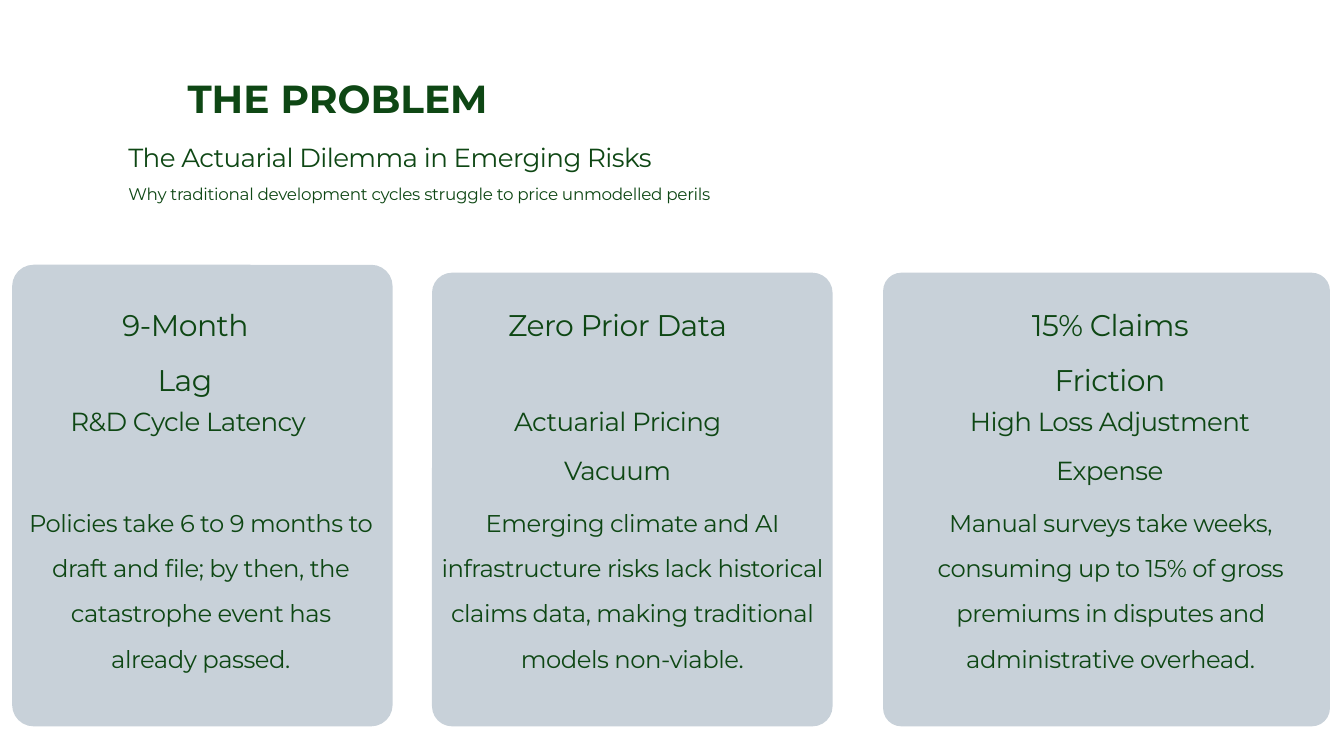
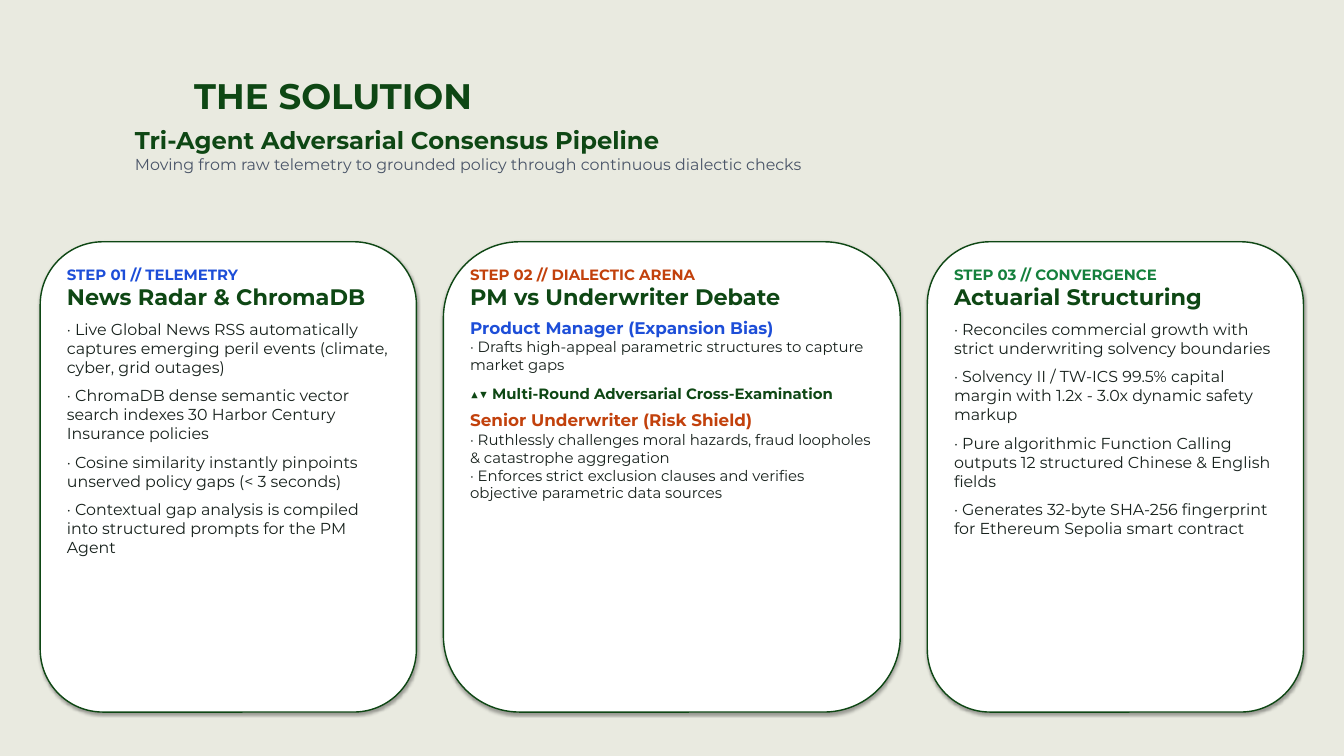
from pptx import Presentation
from pptx.dml.color import RGBColor
from pptx.enum.shapes import MSO_SHAPE
from pptx.enum.text import MSO_ANCHOR, MSO_AUTO_SIZE, PP_ALIGN
from pptx.util import Cm, Pt

FONT = "Montserrat"
GREEN, INK, GREY = "0E4714", "17211C", "4A5568"
BLUE, ORANGE, EMERALD = "1D4ED8", "C2410C", "15803D"
WHITE, SAGE, STEEL = "FFFFFF", "E9EAE0", "C8D1D9"
INSET = 0.25
LEFT, CENTER = PP_ALIGN.LEFT, PP_ALIGN.CENTER


def rgb(value):
    return RGBColor.from_string(value)


def write(sp, box, lines, inset=0, align=LEFT):
    """Place sp and fill it; a line is (text, size, colour, bold, before, leading, tracking)."""
    sp.left, sp.top, sp.width, sp.height = [Cm(v) for v in box]
    tf = sp.text_frame
    tf.word_wrap = True
    tf.auto_size = MSO_AUTO_SIZE.SHAPE_TO_FIT_TEXT
    tf.vertical_anchor = MSO_ANCHOR.TOP
    tf.margin_left = tf.margin_right = Cm(inset)
    tf.margin_top = tf.margin_bottom = Cm(inset / 2)
    for i, (text, size, colour, bold, before, leading, tracking) in enumerate(lines):
        p = tf.add_paragraph() if i else tf.paragraphs[0]
        p.alignment = align
        p.space_before = Pt(before)
        if leading:
            p.line_spacing = Pt(leading)
        p.font.name, p.font.size, p.font.bold = FONT, Pt(size), bold
        p.font.color.rgb = rgb(colour)
        r = p.add_run()
        r.text = text
        if tracking:
            r._r.get_or_add_rPr().set("spc", str(tracking))


prs = Presentation()
prs.slide_width, prs.slide_height = Cm(50.8), Cm(28.58)

# Backgrounds, titles and subtitles
headers = [
    (WHITE, 0, (7.09, 2.82, 13.36, 1.75), ("THE PROBLEM", 41.9, GREEN, True, 0, 50.2, 0),
     (4.85, 4.67, 41.25, 2.97),
     [("The Actuarial Dilemma in Emerging Risks", 28, GREEN, False, 0, 52.4, -60),
      ("Why traditional development cycles struggle to price unmodelled perils",
       18, GREEN, False, 0, 33.6, -30)]),
    (SAGE, INSET, (7.09, 2.67, 25.4, 1.9), ("THE SOLUTION", 38, GREEN, True, 0, None, 0),
     (4.85, 4.62, 41.91, 3.3),
     [("Tri-Agent Adversarial Consensus Pipeline", 26, GREEN, True, 0, None, 0),
      ("Moving from raw telemetry to grounded policy through continuous dialectic checks",
       17, GREY, False, 0, None, 0)]),
]
slides = []
for back, inset, title_box, title, subtitle_box, subtitle in headers:
    s = prs.slides.add_slide(prs.slide_layouts[5])
    s.background.fill.solid()
    s.background.fill.fore_color.rgb = rgb(back)
    write(s.shapes.title, title_box, [title], inset)
    write(s.shapes.add_textbox(0, 0, 0, 0), subtitle_box, subtitle, inset)
    slides.append(s)
problem, solution = slides

# Problem cards: left, top, width, corner radius, then (left, width, text) per level
CARD_BOTTOM = 27.46
levels = [(10.82, 1.9, 32, 59.8, -60), (14.68, 1.7, 28, 52.4, -60), (18.59, 6.63, 26, 48.6, -50)]
problems = [
    (0.46, 10.01, 14.38, 0.81, [
        (3.53, 6.93, "9-Month Lag"),
        (2.57, 9.07, "R&D Cycle Latency"),
        (1.09, 13.0, "Policies take 6 to 9 months to draft and file; by then, "
                     "the catastrophe event has already passed.")]),
    (16.33, 10.31, 15.14, 0.76, [
        (18.47, 9.75, "Zero Prior Data"),
        (17.37, 11.94, "Actuarial Pricing Vacuum"),
        (16.33, 15.14, "Emerging climate and AI infrastructure risks lack historical "
                       "claims data, making traditional models non-viable.")]),
    (33.38, 10.31, 16.89, 0.69, [
        (36.8, 10.31, "15% Claims Friction"),
        (34.59, 14.71, "High Loss Adjustment Expense"),
        (33.66, 16.64, "Manual surveys take weeks, consuming up to 15% of gross "
                       "premiums in disputes and administrative overhead.")]),
]
for left, top, width, radius, texts in problems:
    sp = problem.shapes.add_shape(MSO_SHAPE.ROUNDED_RECTANGLE, Cm(left), Cm(top),
                                  Cm(width), Cm(CARD_BOTTOM - top))
    sp.adjustments[0] = radius / width
    sp.fill.solid()
    sp.fill.fore_color.rgb = rgb(STEEL)
    sp.line.fill.background()
    sp.shadow.inherit = False
    for (x, w, text), (y, h, size, leading, tracking) in zip(texts, levels):
        write(problem.shapes.add_textbox(0, 0, 0, 0), (x, y, w, h),
              [(text, size, GREEN, False, 0, leading, tracking)], align=CENTER)

# Solution cards: width, step, step colour, heading, then body lines
GAP, PAD = 1.02, 0.76
steps = [
    (14.22, "STEP 01 // TELEMETRY", BLUE, "News Radar & ChromaDB", [
        (text, 17, INK, False, 10) for text in (
            "· Live Global News RSS automatically captures emerging peril events "
            "(climate, cyber, grid outages)",
            "· ChromaDB dense semantic vector search indexes 30 Harbor Century "
            "Insurance policies",
            "· Cosine similarity instantly pinpoints unserved policy gaps (< 3 seconds)",
            "· Contextual gap analysis is compiled into structured prompts for the PM Agent")]),
    (17.27, "STEP 02 // DIALECTIC ARENA", ORANGE, "PM vs Underwriter Debate", [
        ("Product Manager (Expansion Bias)", 18, BLUE, True, 8),
        ("· Drafts high-appeal parametric structures to capture market gaps",
         16, INK, False, 0),
        ("▲▼ Multi-Round Adversarial Cross-Examination", 16, GREEN, True, 12),
        ("Senior Underwriter (Risk Shield)", 18, ORANGE, True, 8),
        ("· Ruthlessly challenges moral hazards, fraud loopholes & catastrophe aggregation",
         16, INK, False, 0),
        ("· Enforces strict exclusion clauses and verifies objective parametric data sources",
         16, INK, False, 0)]),
    (14.22, "STEP 03 // CONVERGENCE", EMERALD, "Actuarial Structuring", [
        (text, 17, INK, False, 10) for text in (
            "· Reconciles commercial growth with strict underwriting solvency boundaries",
            "· Solvency II / TW-ICS 99.5% capital margin with 1.2x - 3.0x dynamic safety markup",
            "· Pure algorithmic Function Calling outputs 12 structured Chinese & English fields",
            "· Generates 32-byte SHA-256 fingerprint for Ethereum Sepolia smart contract")]),
]
left = 1.52
for width, step, colour, heading, body in steps:
    # These cards keep the theme's soft shadow
    sp = solution.shapes.add_shape(MSO_SHAPE.ROUNDED_RECTANGLE, Cm(left), Cm(9.14),
                                   Cm(width), Cm(17.78))
    sp.fill.solid()
    sp.fill.fore_color.rgb = rgb(WHITE)
    sp.line.color.rgb = rgb(GREEN)
    sp.line.width = Pt(1.5)
    lines = [(step, 16, colour, True, 0), (heading, 24, GREEN, True, 0)] + body
    write(solution.shapes.add_textbox(0, 0, 0, 0), (left + PAD, 9.91, width - 2 * PAD, 16.26),
          [line + (None, 0) for line in lines], INSET)
    left += width + GAP

prs.save("out.pptx")
